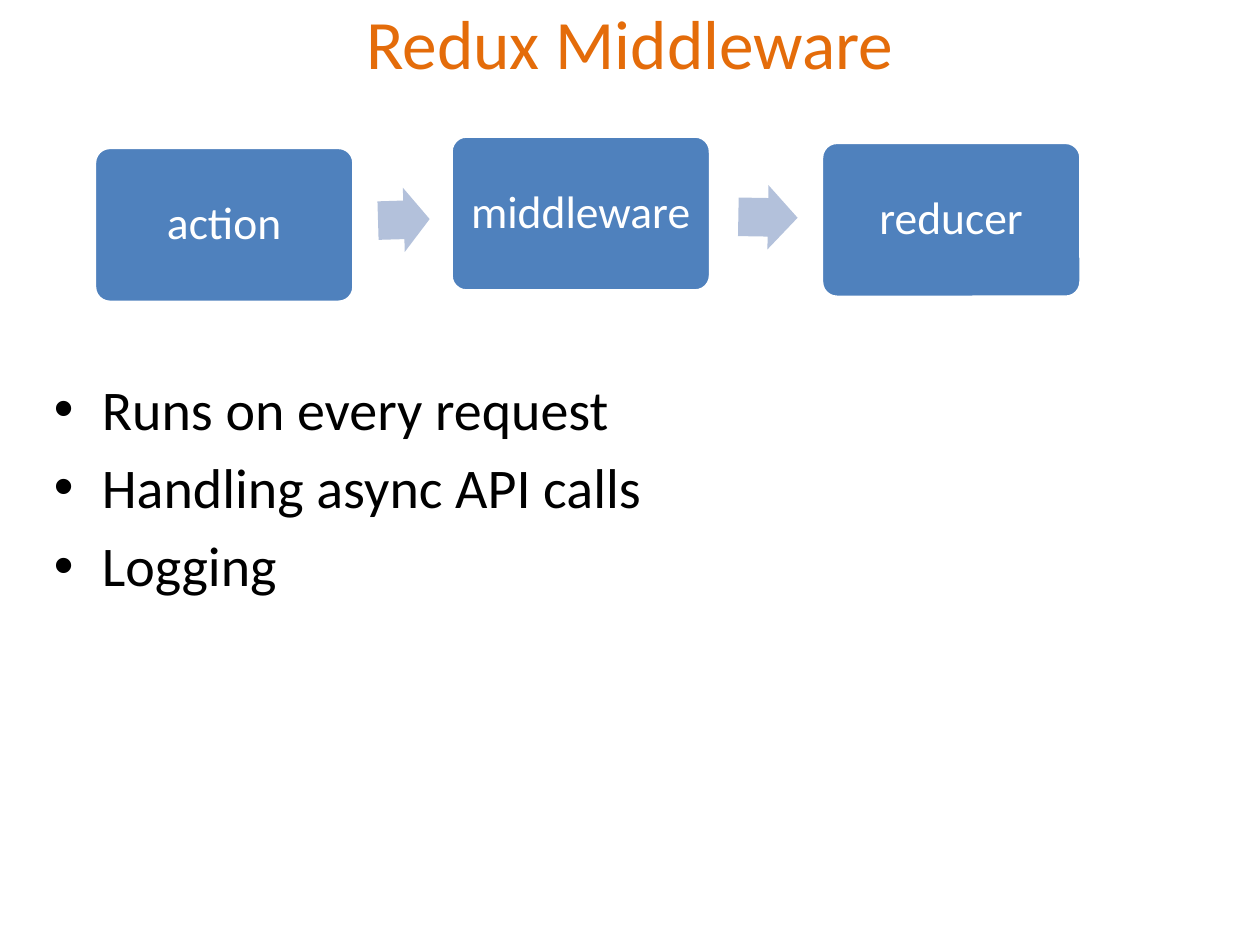
from dataclasses import dataclass

from lxml.etree import SubElement as Sub
from pptx import Presentation
from pptx.dml.color import RGBColor as Rgb
from pptx.enum.shapes import MSO_SHAPE as Kind
from pptx.enum.text import MSO_ANCHOR as Anchor, PP_ALIGN as Align
from pptx.oxml.ns import qn
from pptx.util import Inches, Pt

FONT = "Calibri"
HUES = {"title": "E46C0A", "body": "000000", "box": "4F81BD",
        "arrow": "B3C1DB", "white": "FFFFFF"}


@dataclass
class Step:
    text: str
    left: float
    top: float


@dataclass
class Arrow:
    left: float
    top: float
    width: float
    turn: float


STEPS = [Step("action", 0.75, 1.17), Step("middleware", 3.58, 1.08),
         Step("reducer", 6.52, 1.13)]
ARROWS = [Arrow(3, 1.49, 0.41, 358.3), Arrow(5.86, 1.47, 0.47, 1)]
POINTS = ["Runs on every request", "Handling async API calls", "Logging"]


def style(para, size: float, hue: str, align=Align.LEFT) -> None:
    para.alignment = align
    for run in para.runs:
        run.font.name = FONT
        run.font.size = Pt(size)
        run.font.color.rgb = Rgb.from_string(HUES[hue])


def add_text(slide, left: float, top: float, width: float, height: float):
    frame = slide.shapes.add_textbox(
        Inches(left), Inches(top), Inches(width), Inches(height)).text_frame
    frame.word_wrap = True
    return frame


def add_bullet(para) -> None:
    props = para._p.get_or_add_pPr()
    props.set("marL", str(Inches(0.38)))
    props.set("indent", str(-Inches(0.38)))
    Sub(props, qn("a:buFont")).set("typeface", "Arial")
    Sub(props, qn("a:buChar")).set("char", "•")


def add_step(slide, step: Step) -> None:
    box = slide.shapes.add_shape(
        Kind.ROUNDED_RECTANGLE, Inches(step.left), Inches(step.top),
        Inches(2.06), Inches(1.23))
    box.adjustments[0] = 0.1
    box.shadow.inherit = False
    box.fill.solid()
    box.fill.fore_color.rgb = Rgb.from_string(HUES["box"])
    box.line.color.rgb = Rgb.from_string(HUES["white"])
    box.line.width = Pt(2)
    frame = box.text_frame
    frame.word_wrap = True
    frame.vertical_anchor = Anchor.MIDDLE
    frame.margin_left = frame.margin_right = Inches(0.11)
    frame.text = step.text
    para = frame.paragraphs[0]
    para.line_spacing = 0.9
    style(para, 26, "white", Align.CENTER)


def add_arrow(slide, arrow: Arrow) -> None:
    shape = slide.shapes.add_shape(
        Kind.RIGHT_ARROW, Inches(arrow.left), Inches(arrow.top),
        Inches(arrow.width), Inches(0.51))
    shape.adjustments[0] = 0.6
    shape.adjustments[1] = 0.5
    shape.rotation = arrow.turn
    shape.shadow.inherit = False
    shape.fill.solid()
    shape.fill.fore_color.rgb = Rgb.from_string(HUES["arrow"])
    shape.line.fill.background()


deck = Presentation()
deck.slide_width, deck.slide_height = Inches(10), Inches(7.5)
slide = deck.slides.add_slide(deck.slide_layouts[6])

# Title
title = add_text(slide, 0.5, 0.01, 9, 0.65)
title.vertical_anchor = Anchor.MIDDLE
title.text = "Redux Middleware"
style(title.paragraphs[0], 39.6, "title", Align.CENTER)

# Bullet list
body = add_text(slide, 0.33, 2.92, 9, 4.17)
body.text = "\n".join(POINTS)
for para in body.paragraphs:
    para.space_before = Pt(6.4)
    style(para, 32, "body")
    add_bullet(para)

# Flow from action to reducer
for step in STEPS:
    add_step(slide, step)
for arrow in ARROWS:
    add_arrow(slide, arrow)

deck.save("out.pptx")
